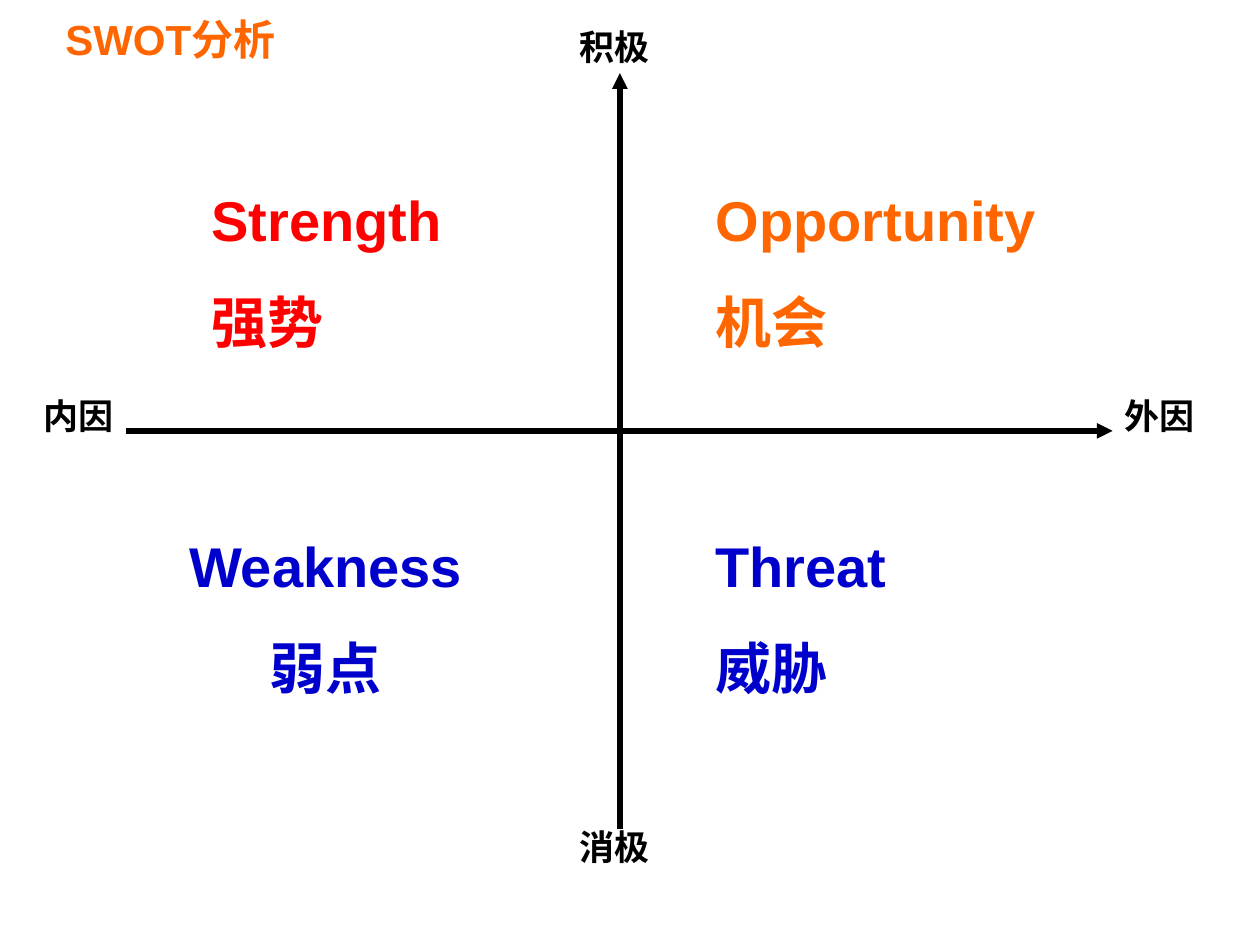
"""Build a SWOT analysis slide with two crossing axes and four quadrants."""
from lxml.etree import SubElement
from pptx import Presentation
from pptx.dml.color import RGBColor
from pptx.enum.shapes import MSO_CONNECTOR
from pptx.enum.text import MSO_ANCHOR, PP_ALIGN as Align
from pptx.oxml.ns import qn
from pptx.util import Inches, Pt

COLORS = {"black": "000000", "red": "FF0000", "orange": "FF6600", "blue": "0000CC"}

TITLE = ("SWOT分析", 0.42, 0, 4.58, 0.62)
AXES = [(1, 3.42, 8.83, 3.42), (4.92, 6.58, 4.92, 0.58)]
AXIS_LABELS = [
    ("内因", 0.25, 3.08),
    ("外因", 8.83, 3.08),
    ("积极", 4.5, 0.15),
    ("消极", 4.5, 6.5),
]
LABEL_SIZE = (1.08, 0.44)
UPPER, LOWER, QUADRANT_HEIGHT = 1.42, 4.17, 1.45
QUADRANTS = [
    (("Strength", "强势"), 1.58, UPPER, 2.58, "red", Align.LEFT),
    (("Opportunity", "机会"), 5.58, UPPER, 3.25, "orange", Align.LEFT),
    (("Weakness", "弱点"), 1, LOWER, 3.17, "blue", Align.CENTER),
    (("Threat", "威胁"), 5.58, LOWER, 2.58, "blue", Align.LEFT),
]


def add_text(slide, lines, box, size, color, align=Align.LEFT, anchor=MSO_ANCHOR.TOP):
    frame = slide.shapes.add_textbox(*map(Inches, box)).text_frame
    frame.word_wrap = True
    frame.vertical_anchor = anchor
    frame.text = "\n".join(lines)
    for index, paragraph in enumerate(frame.paragraphs):
        paragraph.alignment = align
        if index:
            paragraph.space_before = Pt(20)
        font = paragraph.font
        font.name, font.size, font.bold = "Arial", Pt(size), True
        font.color.rgb = RGBColor.from_string(COLORS[color])


def add_axis(slide, ends):
    axis = slide.shapes.add_connector(MSO_CONNECTOR.STRAIGHT, *map(Inches, ends))
    axis.line.width = Pt(3)
    axis.line.color.rgb = RGBColor.from_string(COLORS["black"])
    SubElement(axis.line._get_or_add_ln(), qn("a:tailEnd"), type="triangle")
    SubElement(axis._element.spPr, qn("a:effectLst"))


def main():
    presentation = Presentation()
    presentation.slide_width, presentation.slide_height = Inches(10), Inches(7.5)
    slide = presentation.slides.add_slide(presentation.slide_layouts[6])

    title, *title_box = TITLE
    add_text(slide, [title], title_box, 24, "orange", anchor=MSO_ANCHOR.MIDDLE)
    for ends in AXES:
        add_axis(slide, ends)
    for label, left, top in AXIS_LABELS:
        add_text(slide, [label], (left, top, *LABEL_SIZE), 20, "black")
    for lines, left, top, width, color, align in QUADRANTS:
        add_text(slide, lines, (left, top, width, QUADRANT_HEIGHT), 32, color, align)

    presentation.save("out.pptx")


if __name__ == "__main__":
    main()
